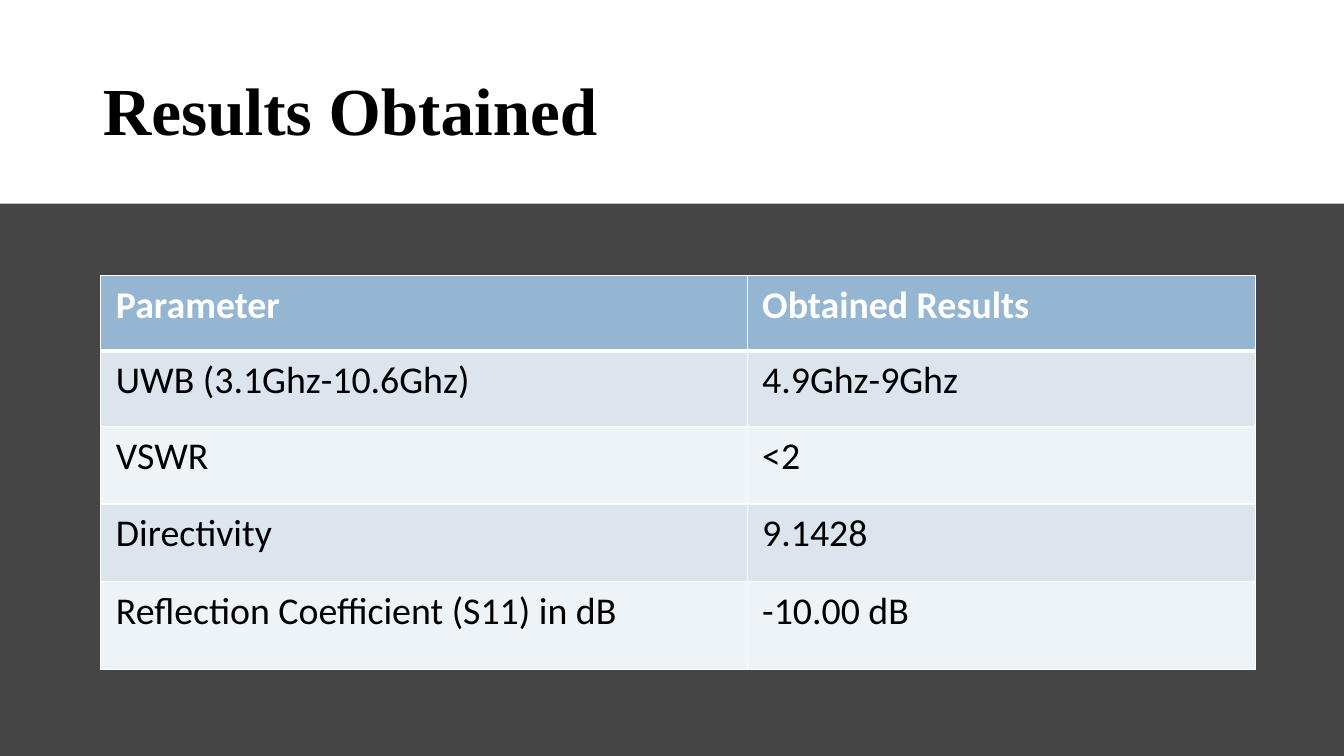
from dataclasses import dataclass

from lxml import etree
from pptx import Presentation
from pptx.dml.color import RGBColor
from pptx.enum.shapes import MSO_SHAPE
from pptx.enum.text import MSO_ANCHOR, MSO_AUTO_SIZE, PP_ALIGN
from pptx.oxml.ns import qn
from pptx.util import Inches, Pt

RECTANGLE = MSO_SHAPE.RECTANGLE
MIDDLE, TOP = MSO_ANCHOR.MIDDLE, MSO_ANCHOR.TOP
LEFT = PP_ALIGN.LEFT
NO_AUTOFIT = MSO_AUTO_SIZE.NONE
TITLE_ONLY = 5


@dataclass(frozen=True)
class Theme:
    backdrop: str = "454545"
    white: str = "FFFFFF"
    ink: str = "000000"
    header: str = "94B6D2"
    bands: tuple = ("EEF3F7", "DCE5EE")
    title_font: str = "Times New Roman"
    table_font: str = "Calibri"
    title_size: int = 48
    table_size: int = 27


THEME = Theme()


def add_run(paragraph, text, font, size, color, bold):
    run = paragraph.add_run()
    run.text = text
    run.font.name = font
    run.font.size = Pt(size)
    run.font.bold = bold
    run.font.color.rgb = RGBColor.from_string(color)


def add_border(cell, side, width):
    line = etree.SubElement(cell._tc.get_or_add_tcPr(), qn(f"a:ln{side}"), w=str(Pt(width)))
    fill = etree.SubElement(line, qn("a:solidFill"))
    etree.SubElement(fill, qn("a:srgbClr"), val=THEME.white)


deck = Presentation()
deck.slide_width = Inches(13.33)
deck.slide_height = Inches(7.5)
slide = deck.slides.add_slide(deck.slide_layouts[TITLE_ONLY])
slide.background.fill.solid()
slide.background.fill.fore_color.rgb = RGBColor.from_string(THEME.backdrop)

title_band = slide.shapes.add_shape(
    RECTANGLE, Inches(0), Inches(-0.01), Inches(13.33), Inches(2.03)
)
title_band.shadow.inherit = False
title_band.fill.solid()
title_band.fill.fore_color.rgb = RGBColor.from_string(THEME.white)
title_band.line.fill.background()

title = slide.shapes.title
title_band._element.getparent().insert(2, title_band._element)
title.left, title.top = Inches(0.92), Inches(0.4)
title.width, title.height = Inches(11.5), Inches(1.45)
title.text_frame.auto_size = NO_AUTOFIT
title.text_frame.word_wrap = True
title.text_frame.vertical_anchor = MIDDLE
heading = title.text_frame.paragraphs[0]
heading.alignment = LEFT
heading.line_spacing = 0.9
add_run(heading, "Results Obtained", THEME.title_font, THEME.title_size, THEME.ink, True)

RESULTS = [
    ("Parameter", "Obtained Results"),
    ("UWB (3.1Ghz-10.6Ghz)", "4.9Ghz-9Ghz"),
    ("VSWR", "<2"),
    ("Directivity", "9.1428"),
    ("Reflection Coefficient (S11) in dB", "-10.00 dB"),
]
COLUMN_WIDTHS = (6.41, 5.04)
ROW_HEIGHTS = (0.75, 0.75, 0.77, 0.77, 0.87)

results = slide.shapes.add_table(
    len(RESULTS), len(COLUMN_WIDTHS), Inches(1), Inches(2.73),
    Inches(sum(COLUMN_WIDTHS)), Inches(sum(ROW_HEIGHTS)),
).table
for column, width in zip(results.columns, COLUMN_WIDTHS):
    column.width = Inches(width)

for row_index, (values, height) in enumerate(zip(RESULTS, ROW_HEIGHTS)):
    results.rows[row_index].height = Inches(height)
    is_header = row_index == 0
    row_fill = THEME.header if is_header else THEME.bands[row_index % 2]
    text_color = THEME.white if is_header else THEME.ink
    for column_index, value in enumerate(values):
        cell = results.cell(row_index, column_index)
        cell.margin_left = cell.margin_right = Inches(0.15)
        cell.margin_top = cell.margin_bottom = Inches(0.07)
        cell.vertical_anchor = TOP
        for side in "LRTB":
            touches_header_rule = (row_index, side) in ((0, "B"), (1, "T"))
            add_border(cell, side, 3 if touches_header_rule else 1)
        cell.fill.solid()
        cell.fill.fore_color.rgb = RGBColor.from_string(row_fill)
        add_run(cell.text_frame.paragraphs[0], value, THEME.table_font,
                THEME.table_size, text_color, is_header)

deck.save("out.pptx")
